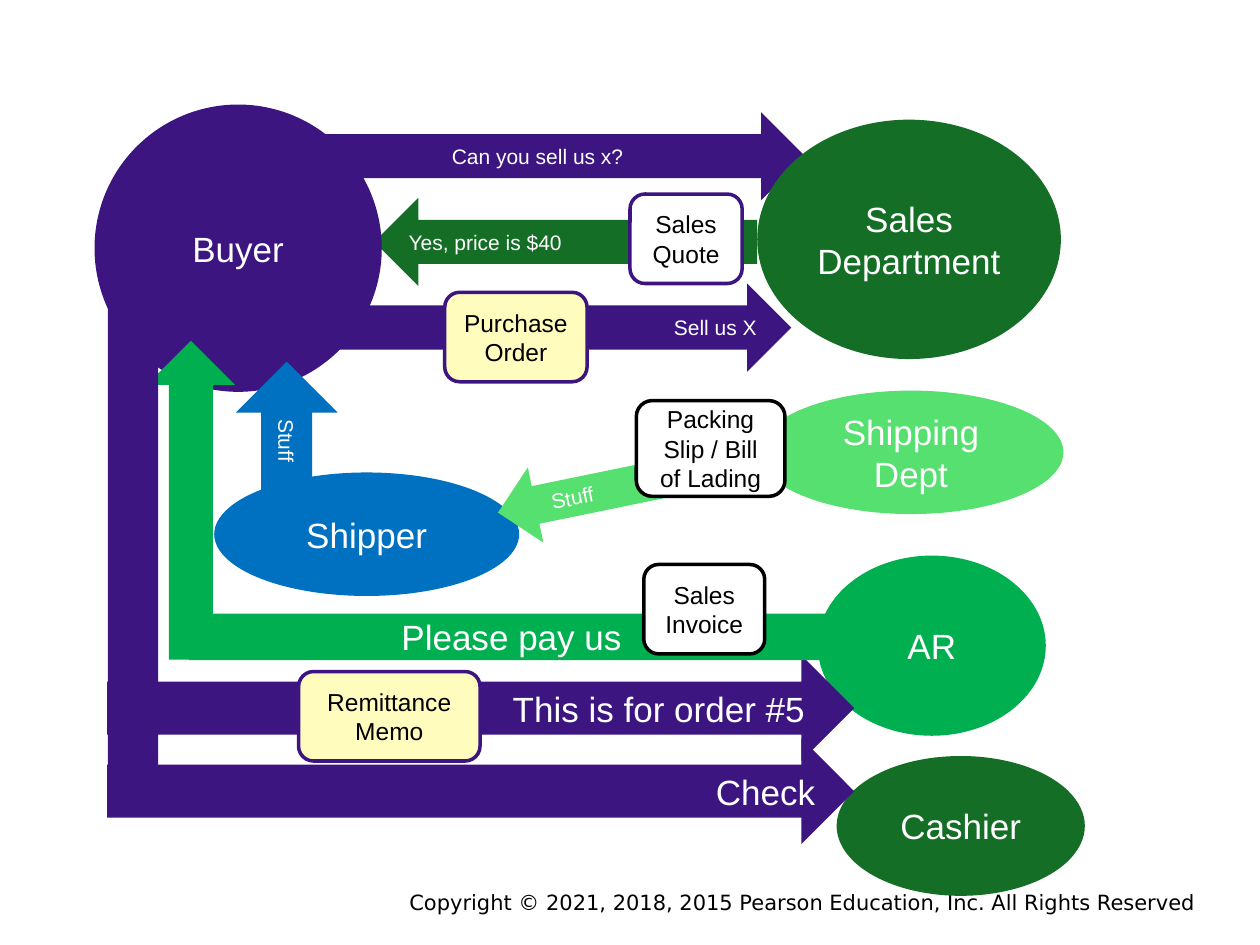
from pptx import Presentation
from pptx.dml.color import RGBColor
from pptx.enum.shapes import MSO_SHAPE
from pptx.enum.text import MSO_ANCHOR, PP_ALIGN
from pptx.util import Pt

OVAL, RECT, ROUND = MSO_SHAPE.OVAL, MSO_SHAPE.RECTANGLE, MSO_SHAPE.ROUNDED_RECTANGLE
TO_RIGHT, TO_LEFT = MSO_SHAPE.RIGHT_ARROW, MSO_SHAPE.LEFT_ARROW
LEFT, MID, RIGHT = PP_ALIGN.LEFT, PP_ALIGN.CENTER, PP_ALIGN.RIGHT
MIDDLE = MSO_ANCHOR.MIDDLE

SCALE = 9144  # EMU per px, 100 px to the inch
COLORS = {
    "purple": "3C1581", "forest": "146E25", "blue": "0070C0",
    "lime": "55E06F", "green": "00B050", "cream": "FFFCBD",
    "white": "FFFFFF", "black": "000000",
}


def px(n):
    return n * SCALE


def rgb(name):
    return RGBColor.from_string(COLORS[name])


class Flow:
    font = "Arial"
    inset = 10
    big, mid, small = 20, 14, 12

    def __init__(self, slide):
        self.slide = slide

    def label(self, frame, text, size, color="white", align=MID, font=None):
        para = frame.paragraphs[0]
        para.alignment = align
        run = para.add_run()
        run.text = text
        run.font.name = font or self.font
        run.font.size = Pt(size)
        run.font.color.rgb = rgb(color)

    def block(self, kind, box, fill, text="", size=big, color="white",
              align=MID, line=None, turn=0, pad=(0, 0)):
        shape = self.slide.shapes.add_shape(kind, *map(px, box))
        shape.shadow.inherit = False
        shape.rotation = turn
        shape.fill.solid()
        shape.fill.fore_color.rgb = rgb(fill)
        if line:
            shape.line.color.rgb = rgb(line)
            shape.line.width = Pt(2)
        else:
            shape.line.fill.background()
        if text:
            frame = shape.text_frame
            frame.word_wrap = True
            frame.vertical_anchor = MIDDLE
            frame.margin_left = px(self.inset + pad[0])
            frame.margin_right = px(self.inset + pad[1])
            self.label(frame, text, size, color, align)

    def party(self, text, box, fill):
        self.block(OVAL, box, fill, text)

    def arrow(self, kind, box, fill, text="", size=small, **style):
        self.block(kind, box, fill, text, size, **style)

    def bar(self, box, fill, text="", turn=0):
        self.block(RECT, box, fill, text, turn=turn)

    def paper(self, text, box, fill, line):
        self.block(ROUND, box, fill, text, self.mid, "black", line=line)

    def note(self, text, box, font):
        frame = self.slide.shapes.add_textbox(*map(px, box)).text_frame
        frame.word_wrap = True
        frame.margin_left = frame.margin_right = 0
        frame.margin_top = frame.margin_bottom = 0
        self.label(frame, text, self.small, "black", RIGHT, font)


def main():
    deck = Presentation()
    deck.slide_width, deck.slide_height = px(1000), px(750)
    flow = Flow(deck.slides.add_slide(deck.slide_layouts[6]))

    # Footer
    flow.note("Copyright © 2021, 2018, 2015 Pearson Education, Inc. "
              "All Rights Reserved", (300, 706, 649, 22), "DejaVu Sans")

    # Buyer and sales department
    flow.arrow(TO_RIGHT, (232, 89, 407, 70), "purple", "Can you sell us x?")
    flow.arrow(TO_RIGHT, (250, 225, 378, 70), "purple", "Sell us X", align=RIGHT)
    flow.arrow(TO_LEFT, (297, 157, 304, 70), "forest", "Yes, price is $40",
               align=LEFT)
    flow.party("Buyer", (75, 83, 228, 228), "purple")
    flow.party("Sales Department", (601, 95, 241, 190), "forest")

    # Goods on their way
    flow.party("Shipper", (170, 375, 242, 98), "blue")
    flow.arrow(TO_LEFT, (393, 354, 223, 61), "lime", "Stuff", align=LEFT,
               turn=348.4, pad=(18, 0))
    flow.arrow(TO_LEFT, (175, 299, 105, 81), "blue", "Stuff", turn=90)
    flow.party("Shipping Dept", (602, 310, 242, 98), "lime")

    # Billing and remittance
    flow.party("AR", (649, 441, 181, 143), "green")
    flow.arrow(TO_LEFT, (25, 362, 253, 70), "green", turn=90)
    flow.arrow(TO_RIGHT, (85, 520, 593, 84), "purple", "This is for order #5",
               flow.big, align=RIGHT, pad=(0, 8))
    flow.bar((-95, 413, 401, 40), "purple", turn=90)

    # Documents and payment
    flow.paper("Sales Quote", (500, 154, 89, 71), "white", "purple")
    flow.paper("Purchase Order", (353, 232, 113, 71), "cream", "purple")
    flow.paper("Packing Slip / Bill of Lading", (505, 318, 118, 76),
               "white", "black")
    flow.bar((150, 487, 512, 37), "green", "Please pay us")
    flow.paper("Sales Invoice", (511, 448, 96, 71), "white", "black")
    flow.party("Cashier", (664, 600, 197, 111), "forest")
    flow.arrow(TO_RIGHT, (85, 586, 593, 84), "purple", "Check", flow.big,
               align=RIGHT)
    flow.paper("Remittance Memo", (237, 533, 144, 71), "cream", "purple")

    deck.save("out.pptx")


if __name__ == "__main__":
    main()
